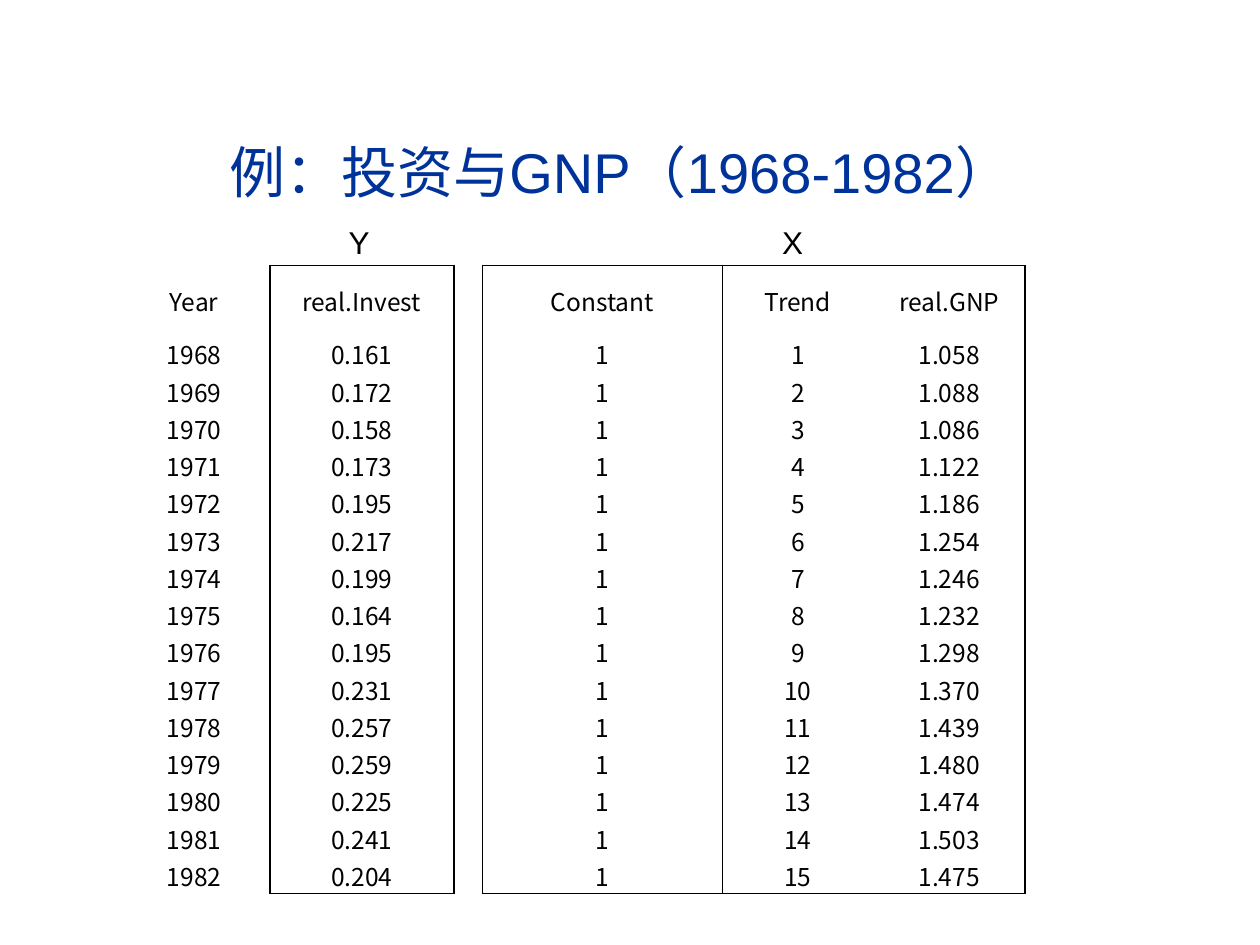
import lxml.etree
import pptx
import pptx.dml.color
import pptx.enum.text
import pptx.oxml.ns
import pptx.util
from pptx.util import Cm

BLUE = pptx.dml.color.RGBColor(0x00, 0x33, 0x99)
BLACK = pptx.dml.color.RGBColor(0x00, 0x00, 0x00)
BODY_SIZE = 14
BORDER_WIDTH = pptx.util.Pt(1)

TITLE = "例：投资与GNP（1968-1982）"
HEADER = ["Year", "real.Invest", "", "Constant", "Trend", "real.GNP"]
FIRST_YEAR = 1968
INVESTMENT = ["0.161", "0.172", "0.158", "0.173", "0.195", "0.217", "0.199", "0.164",
              "0.195", "0.231", "0.257", "0.259", "0.225", "0.241", "0.204"]
GNP = ["1.058", "1.088", "1.086", "1.122", "1.186", "1.254", "1.246", "1.232",
       "1.298", "1.370", "1.439", "1.480", "1.474", "1.503", "1.475"]
ROWS = [HEADER] + [
    [str(FIRST_YEAR + index), invest, "", "1", str(index + 1), gnp]
    for index, (invest, gnp) in enumerate(zip(INVESTMENT, GNP))
]

COLUMN_WIDTHS = [3.05, 3.71, 0.58, 4.83, 3.05, 3.05]
HEADER_HEIGHT, ROW_HEIGHT = 1.4, 0.75
TABLE_LEFT, TABLE_TOP = 2.39, 5.35
FRAMES = [(1, 1), (3, 5)]  # first and last column of the Y and X blocks
BLOCK_LABELS = [("Y", 6.35), ("X", 15.09)]
NO_STYLE_NO_GRID = "{2D5ABB26-0587-4C30-8999-92F81FD0307C}"


def write(frame, text, *, size, font="Arial", color=BLACK):
    para = frame.paragraphs[0]
    para.alignment = pptx.enum.text.PP_ALIGN.CENTER
    span = para.add_run()
    span.text = text
    span.font.size = pptx.util.Pt(size)
    span.font.name = font
    span.font.color.rgb = color


def frame_sides(row, column):
    """Return the sides of a cell that lie on a block frame, in schema order."""
    sides = set()
    for first, last in FRAMES:
        if column in (first, last + 1):
            sides.add("L")
        if column in (first - 1, last):
            sides.add("R")
        if first <= column <= last:
            if row == 0:
                sides.add("T")
            if row == len(ROWS) - 1:
                sides.add("B")
    return [side for side in "LRTB" if side in sides]


def add_border(cell, side):
    qn = pptx.oxml.ns.qn
    properties = cell._tc.get_or_add_tcPr()
    line = lxml.etree.SubElement(properties, qn(f"a:ln{side}"), w=str(BORDER_WIDTH))
    fill = lxml.etree.SubElement(line, qn("a:solidFill"))
    lxml.etree.SubElement(fill, qn("a:srgbClr"), val=str(BLACK))


def format_cell(cell, text, sides):
    cell.margin_left = cell.margin_right = cell.margin_top = Cm(0.03)
    cell.margin_bottom = Cm(0)
    cell.vertical_anchor = pptx.enum.text.MSO_ANCHOR.MIDDLE
    for side in sides:
        add_border(cell, side)
    cell.fill.background()
    if text:
        write(cell.text_frame, text, size=BODY_SIZE, font="Noto Sans CJK SC")
    else:  # keeps the empty gap cell from stretching its row
        lxml.etree.SubElement(cell.text_frame.paragraphs[0]._p,
                              pptx.oxml.ns.qn("a:endParaRPr"), sz=str(BODY_SIZE * 100))


def add_data_table(page):
    heights = [HEADER_HEIGHT] + [ROW_HEIGHT] * (len(ROWS) - 1)
    graphic = page.shapes.add_table(
        len(ROWS), len(HEADER), Cm(TABLE_LEFT), Cm(TABLE_TOP),
        Cm(sum(COLUMN_WIDTHS)), Cm(sum(heights)))
    table = graphic.table
    table.first_row = table.horz_banding = False
    table._tbl.tblPr.find(pptx.oxml.ns.qn("a:tableStyleId")).text = NO_STYLE_NO_GRID
    for column, width in zip(table.columns, COLUMN_WIDTHS):
        column.width = Cm(width)
    for row, height in zip(table.rows, heights):
        row.height = Cm(height)
    for r, texts in enumerate(ROWS):
        for c, text in enumerate(texts):
            format_cell(table.cell(r, c), text, frame_sides(r, c))


def main():
    deck = pptx.Presentation()
    deck.slide_width, deck.slide_height = Cm(25.4), Cm(19.05)
    page = deck.slides.add_slide(deck.slide_layouts[5])

    title = page.shapes.title
    title.left, title.top, title.width, title.height = Cm(1.07), Cm(1.07), Cm(22.86), Cm(3.18)
    title.text_frame.vertical_anchor = pptx.enum.text.MSO_ANCHOR.BOTTOM
    write(title.text_frame, TITLE, size=32, color=BLUE)

    add_data_table(page)
    for label, left in BLOCK_LABELS:
        box = page.shapes.add_textbox(Cm(left), Cm(4.37), Cm(1.78), Cm(1.02))
        box.text_frame.word_wrap = True
        write(box.text_frame, label, size=18)

    deck.save("out.pptx")


if __name__ == "__main__":
    main()
